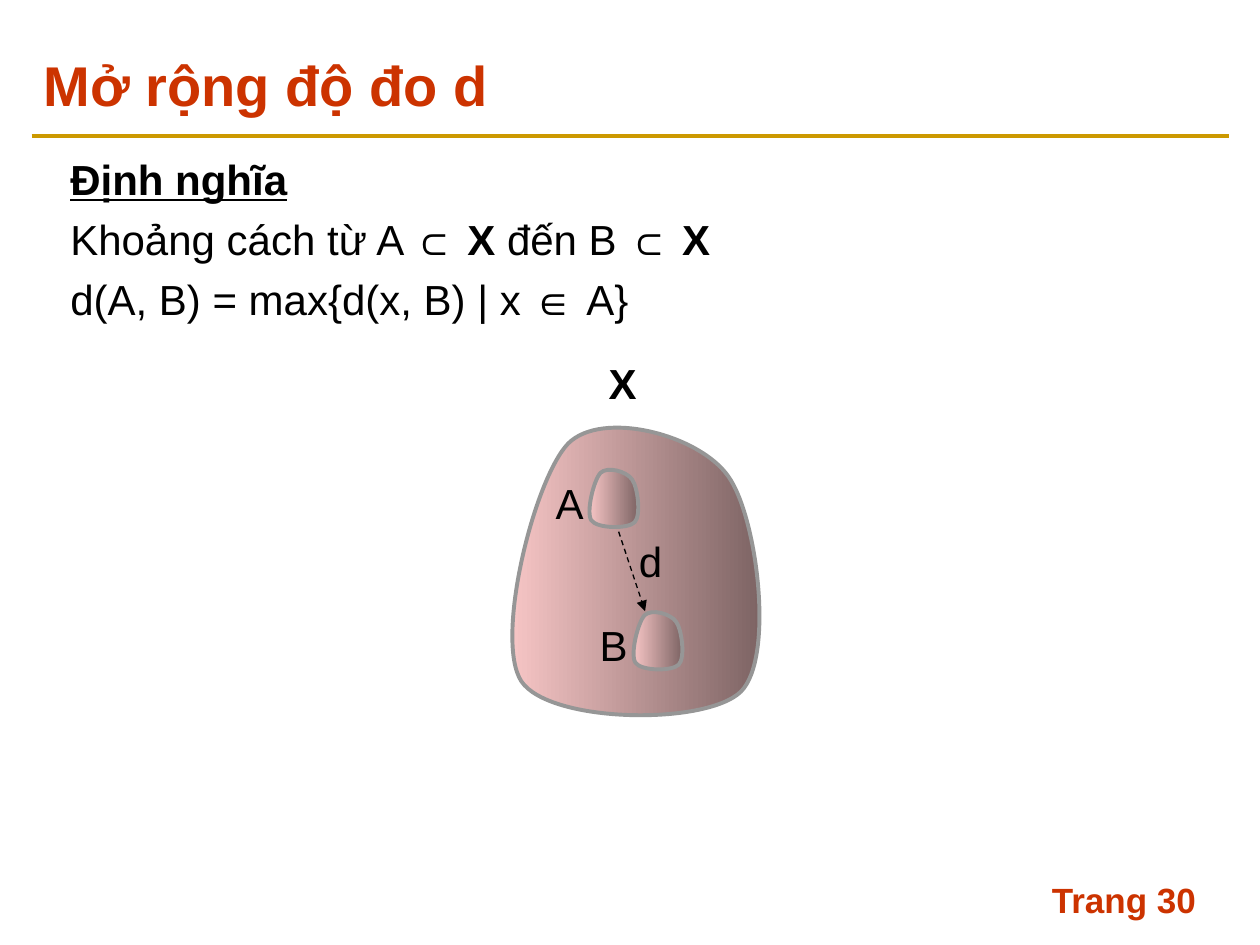
from lxml import etree
from pptx import Presentation
from pptx import util as u
from pptx.dml.color import RGBColor
from pptx.enum import dml, shapes, text
from pptx.oxml.ns import qn

FONT = "Arial"
RED, GOLD, BLACK, GRAY, PINK = "CC3300", "CC9900", "000000", "969696", "FFCCCC"

# Bézier points of a set outline, drawn in a box of OUTLINE_SIZE
OUTLINE_SIZE = (2.23, 2.51)
OUTLINE = [
    (0.59, 0.27), (0.86, 0), (1.63, 0.2), (1.86, 0.53),
    (2.09, 0.85), (2.23, 1.97), (1.96, 2.24),
    (1.68, 2.51), (0.45, 2.49), (0.22, 2.16),
    (0, 1.83), (0.32, 0.55), (0.59, 0.27),
]


def rgb(color):
    return RGBColor.from_string(color)


def add_text(slide, box, paragraphs, size=24, color=BLACK,
             anchor=text.MSO_ANCHOR.TOP, inset=True, space_before=0):
    """Each paragraph is a list of (wording, style) runs; b is bold, u underlined."""
    frame = slide.shapes.add_textbox(*map(u.Inches, box)).text_frame
    frame.word_wrap = inset
    frame.vertical_anchor = anchor
    if not inset:
        frame.margin_left = frame.margin_right = 0
        frame.margin_top = frame.margin_bottom = 0
        frame.auto_size = text.MSO_AUTO_SIZE.SHAPE_TO_FIT_TEXT
    for index, runs in enumerate(paragraphs):
        paragraph = frame.add_paragraph() if index else frame.paragraphs[0]
        if index:
            paragraph.space_before = u.Pt(space_before)
        for wording, style in runs:
            run = paragraph.add_run()
            run.text = wording
            run.font.name = FONT
            run.font.size = u.Pt(size)
            run.font.color.rgb = rgb(color)
            run.font.bold = "b" in style
            run.font.underline = "u" in style


def add_label(slide, left, top, wording, style=""):
    add_text(slide, (left, top, 0.22, 0.4), [[(wording, style)]], inset=False)


def add_line(slide, start, end, color, width):
    line = slide.shapes.add_connector(
        shapes.MSO_CONNECTOR.STRAIGHT, *map(u.Inches, start + end))
    line.line.color.rgb = rgb(color)
    line.line.width = u.Pt(width)
    etree.SubElement(line._element.spPr, qn("a:effectLst"))
    return line


def add_arrow(slide, start, end):
    arrow = add_line(slide, start, end, BLACK, 0.75)
    arrow.line.dash_style = dml.MSO_LINE.DASH
    etree.SubElement(arrow.line._get_or_add_ln(), qn("a:tailEnd"), type="triangle")


def curve_segments(shape):
    """Turn each three straight segments into one cubic Bézier curve."""
    segments = list(shape._element.iter(qn("a:lnTo")))
    for first in range(0, len(segments), 3):
        curve = etree.Element(qn("a:cubicBezTo"))
        segments[first].addprevious(curve)
        for segment in segments[first:first + 3]:
            curve.append(segment[0])
            segment.getparent().remove(segment)


def shade_gradient(fill):
    """Fade from pink to its dark shade, left to right."""
    fill.gradient()
    fill.gradient_angle = 0
    for stop, position in zip(fill.gradient_stops, (0, 1)):
        stop.color.rgb = rgb(PINK)
        stop.position = position
    dark = list(fill._xPr.iter(qn("a:srgbClr")))[-1]
    etree.SubElement(dark, qn("a:gamma"))
    etree.SubElement(dark, qn("a:shade"), val="46275")
    etree.SubElement(dark, qn("a:invGamma"))


def add_set(slide, left, top, width, height):
    scale_x, scale_y = width / OUTLINE_SIZE[0], height / OUTLINE_SIZE[1]
    points = [(u.Inches(left + x * scale_x), u.Inches(top + y * scale_y))
              for x, y in OUTLINE]
    builder = slide.shapes.build_freeform(*points[0])
    builder.add_line_segments(points[1:], close=True)
    region = builder.convert_to_shape()
    # The builder repeats no point, so the segments group evenly in threes
    curve_segments(region)
    region.shadow.inherit = False
    shade_gradient(region.fill)
    region.line.color.rgb = rgb(GRAY)
    region.line.width = u.Pt(2.25)


def main():
    deck = Presentation()
    deck.slide_width, deck.slide_height = u.Inches(10), u.Inches(7.5)
    slide = deck.slides.add_slide(deck.slide_layouts[6])

    add_line(slide, (0.25, 1.08), (9.75, 1.08), GOLD, 2.25)
    add_text(slide, (8.25, 6.92, 1.5, 0.5), [[("Trang 30", "b")]], 20, RED)
    add_text(slide, (0.25, 0.33, 9.5, 0.67), [[("Mở rộng độ đo d", "b")]], 32, RED,
             anchor=text.MSO_ANCHOR.MIDDLE)
    add_text(slide, (0.46, 1.17, 9.1, 5.75), [
        [("Định nghĩa", "bu")],
        [("Khoảng cách từ A ⊂ ", ""), ("X", "b"), (" đến B ⊂ ", ""), ("X", "b")],
        [("d(A, B) = max{d(x, B) | x ", ""), ("∈ ", "b"), ("A}", "")],
    ], space_before=5.5)

    add_set(slide, 3.92, 3.25, *OUTLINE_SIZE)
    add_label(slide, 4.83, 2.84, "X", "b")
    for name, left, top in (("A", 4.65, 3.7), ("B", 5, 4.83)):
        add_set(slide, left, top, 0.44, 0.5)
        add_label(slide, left - 0.24, top + 0.09, name)
    add_arrow(slide, (4.91, 4.22), (5.12, 4.85))
    add_label(slide, 5.07, 4.25, "d")

    deck.save("out.pptx")


if __name__ == "__main__":
    main()
